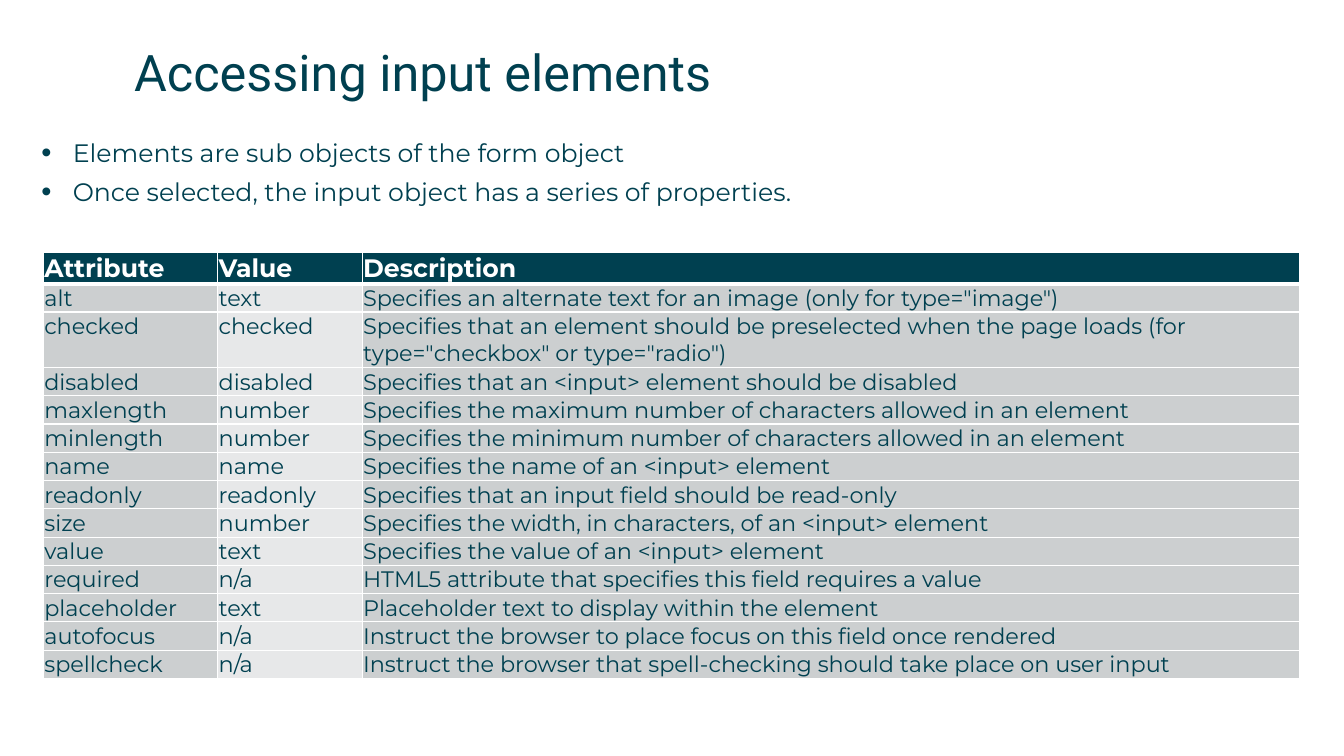
import pptx
import pptx.dml.color
import pptx.enum.text
import pptx.oxml
import pptx.oxml.ns
import pptx.util

Pt = pptx.util.Pt
ANCHOR = pptx.enum.text.MSO_ANCHOR

COLOURS = {"teal": "004050", "white": "FFFFFF", "grey": "CCCFD0", "pale": "E7E8E9"}

TITLE_FORMAT = {"name": "Roboto", "size": Pt(36), "bold": False}
BULLET_FORMAT = {"name": "Montserrat", "size": Pt(18), "bold": False}
HEADER_FORMAT = {"name": "Montserrat", "size": Pt(18), "bold": True}
CELL_FORMAT = {"name": "Montserrat", "size": Pt(16), "bold": False}

BULLETS = [
    "Elements are sub objects of the form object",
    "Once selected, the input object has a series of properties.",
]

COLUMN_WIDTHS = [124.5, 103.2, 669.9]
HEADER_HEIGHT, ROW_HEIGHT, TWO_LINE_HEIGHT = 22, 20.2, 39.7
COLUMN_FILLS = ["grey", "pale", "grey"]

ATTRIBUTES = [
    ("Attribute", "Value", "Description"),
    ("alt", "text", 'Specifies an alternate text for an image (only for type="image")'),
    ("checked", "checked", "Specifies that an element should be preselected when the page loads "
     '(for type="checkbox" or type="radio")'),
    ("disabled", "disabled", "Specifies that an <input> element should be disabled"),
    ("maxlength", "number", "Specifies the maximum number of characters allowed in an element"),
    ("minlength", "number", "Specifies the minimum number of characters allowed in an element"),
    ("name", "name", "Specifies the name of an <input> element"),
    ("readonly", "readonly", "Specifies that an input field should be read-only"),
    ("size", "number", "Specifies the width, in characters, of an <input> element"),
    ("value", "text", "Specifies the value of an <input> element"),
    ("required", "n/a", "HTML5 attribute that specifies this field requires a value"),
    ("placeholder", "text", "Placeholder text to display within the element"),
    ("autofocus", "n/a", "Instruct the browser to place focus on this field once rendered"),
    ("spellcheck", "n/a", "Instruct the browser that spell-checking should take place on user input"),
]


def set_all(target, values):
    for name, value in values.items():
        setattr(target, name, value)


def rgb(colour):
    return pptx.dml.color.RGBColor.from_string(COLOURS[colour])


def write(para, text, font_format, colour):
    span = para.add_run()
    span.text = text
    set_all(span.font, font_format)
    span.font.color.rgb = rgb(colour)


def prepare_frame(frame):
    set_all(frame, {"margin_left": 0, "margin_top": 0, "margin_right": 0, "margin_bottom": 0,
                    "word_wrap": True, "vertical_anchor": ANCHOR.TOP,
                    "auto_size": pptx.enum.text.MSO_AUTO_SIZE.NONE})


def add_title(page, text):
    title = page.shapes.title
    set_all(title, {"left": Pt(95.8), "top": Pt(29.5), "width": Pt(834.5), "height": Pt(41)})
    prepare_frame(title.text_frame)
    para = title.text_frame.paragraphs[0]
    para.alignment = pptx.enum.text.PP_ALIGN.LEFT
    write(para, text, TITLE_FORMAT, "teal")


def add_bullets(page, lines):
    box = page.shapes.add_textbox(Pt(29.5), Pt(97.9), Pt(900), Pt(412.6))
    frame = box.text_frame
    prepare_frame(frame)
    for index, line in enumerate(lines):
        para = frame.add_paragraph() if index else frame.paragraphs[0]
        para.space_after = Pt(6.5)
        properties = para._p.get_or_add_pPr()
        properties.set("marL", str(Pt(22.5)))
        properties.set("indent", str(-Pt(22.5)))
        for tag, name, value in (("buSzPct", "val", "115000"), ("buFont", "typeface", "Arial"),
                                 ("buChar", "char", "•")):
            bullet = pptx.oxml.ns.qn(f"a:{tag}")
            properties.append(properties.makeelement(bullet, {name: value}))
        write(para, line, BULLET_FORMAT, "teal")


def add_borders(cell, widths):
    properties = cell._tc.get_or_add_tcPr()
    for side, width in widths.items():
        properties.append(pptx.oxml.parse_xml(
            f'<a:ln{side} {pptx.oxml.ns.nsdecls("a")} w="{Pt(width)}"><a:solidFill>'
            f'<a:srgbClr val="{COLOURS["white"]}"/></a:solidFill></a:ln{side}>'))


def fill_cell(cell, text, row, column):
    header = row == 0
    set_all(cell, {"margin_left": Pt(0.7), "margin_top": Pt(0.7), "margin_right": Pt(0.7),
                   "margin_bottom": 0, "vertical_anchor": ANCHOR.BOTTOM if header else ANCHOR.TOP})
    add_borders(cell, {"L": 1, "R": 1, "T": 3 if row == 1 else 1, "B": 3 if header else 1})
    cell.fill.solid()
    cell.fill.fore_color.rgb = rgb("teal" if header else COLUMN_FILLS[column])
    write(cell.text_frame.paragraphs[0], text, HEADER_FORMAT if header else CELL_FORMAT,
          "white" if header else "teal")


def add_attribute_table(page, records):
    heights = [HEADER_HEIGHT] + [TWO_LINE_HEIGHT if len(record[2]) > 80 else ROW_HEIGHT
                                 for record in records[1:]]
    table = page.shapes.add_table(len(records), len(COLUMN_WIDTHS), Pt(31), Pt(180),
                                  Pt(sum(COLUMN_WIDTHS)), Pt(sum(heights))).table
    table.horz_banding = False
    for column, width in zip(table.columns, COLUMN_WIDTHS):
        column.width = Pt(width)
    for row, (record, height) in enumerate(zip(records, heights)):
        table.rows[row].height = Pt(height)
        for column, text in enumerate(record):
            fill_cell(table.cell(row, column), text, row, column)


def main():
    """Build the slide on accessing input elements."""
    deck = pptx.Presentation()
    set_all(deck, {"slide_width": Pt(960), "slide_height": Pt(540)})
    page = deck.slides.add_slide(deck.slide_layouts.get_by_name("Title Only"))
    add_title(page, "Accessing input elements")
    add_bullets(page, BULLETS)
    add_attribute_table(page, ATTRIBUTES)
    deck.save("out.pptx")


if __name__ == "__main__":
    main()
